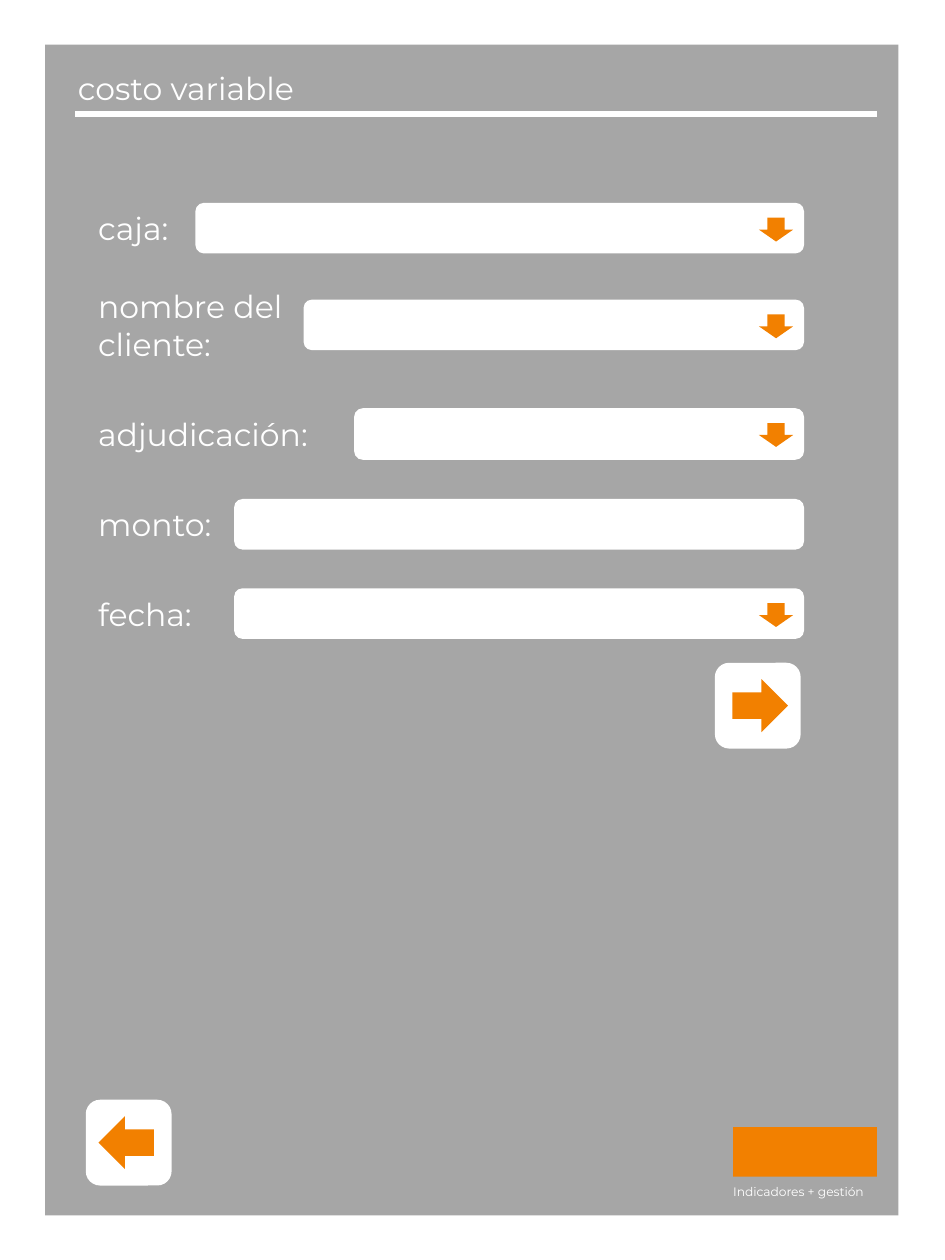
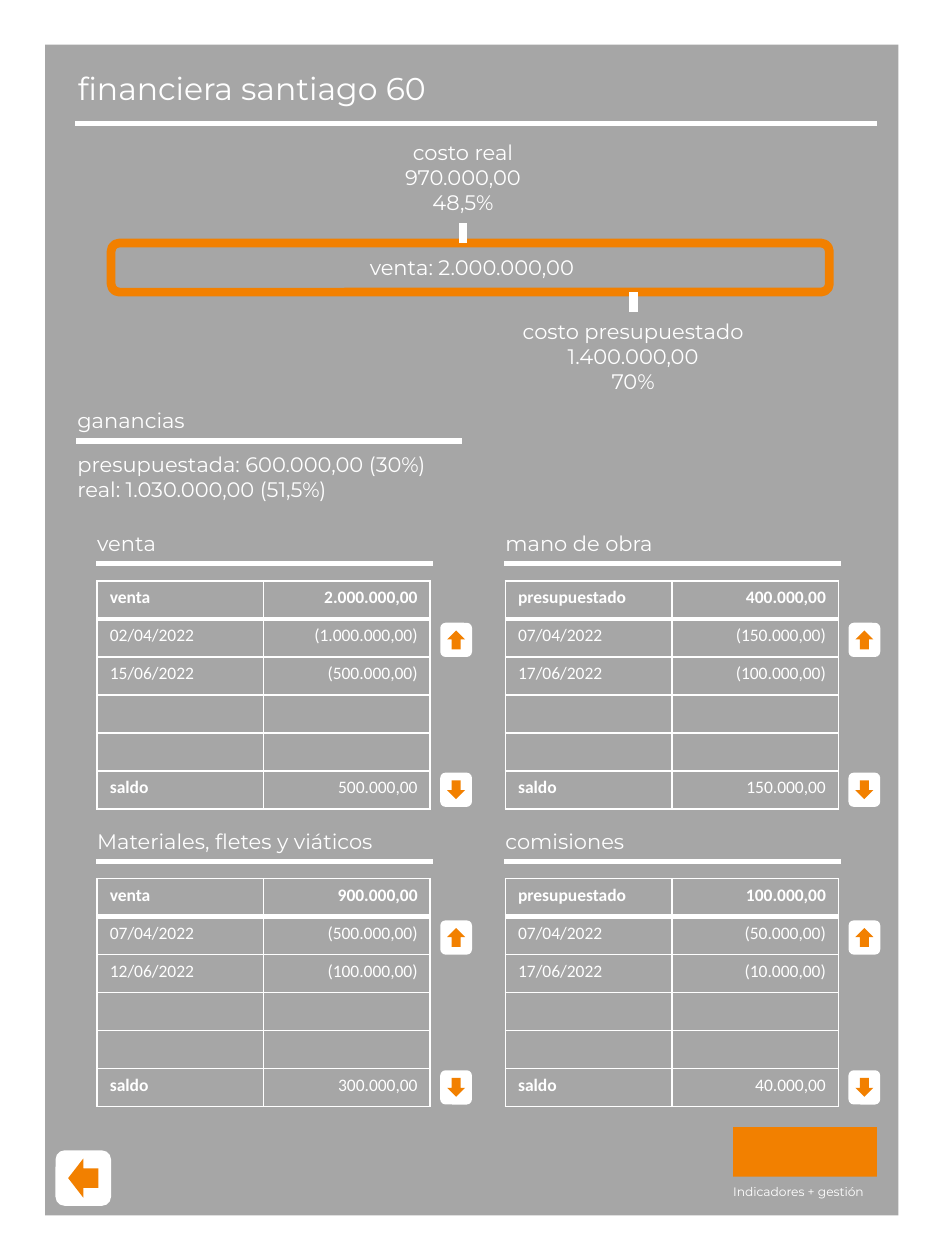
from lxml.etree import SubElement
from pptx import Presentation
from pptx.dml.color import RGBColor
from pptx.enum.shapes import MSO_CONNECTOR, MSO_SHAPE
from pptx.enum.text import MSO_ANCHOR, PP_ALIGN
from pptx.oxml.ns import qn
from pptx.util import Cm, Pt

# Shared look
WHITE, GRAY, ORANGE = "FFFFFF", "A6A6A6", "F28000"
PAGE = (19.05, 25.4)
PANEL = (0.91, 0.9, 17.2, 23.6)
HEADING = {"name": "Montserrat", "size": Pt(18)}
BODY = {"name": "Montserrat", "size": Pt(12)}
TAGLINE = {"name": "Montserrat", "size": Pt(7)}
CELL = {"name": "Calibri", "size": Pt(10)}


def color(hex_value):
    return RGBColor.from_string(hex_value)


def apply_format(target, values):
    for attribute, value in values.items():
        setattr(target, attribute, value)


def add_block(slide, kind, box, fill=None, line=None, line_width=5, rotation=0):
    block = slide.shapes.add_shape(kind, *map(Cm, box))
    apply_format(block, {"rotation": rotation})
    block.shadow.inherit = False
    if fill:
        block.fill.solid()
        block.fill.fore_color.rgb = color(fill)
    else:
        block.fill.background()
    if line:
        block.line.color.rgb = color(line)
        block.line.width = Pt(line_width)
    else:
        block.line.fill.background()
    return block


def write(paragraph, words, font, align=PP_ALIGN.LEFT):
    paragraph.alignment = align
    run = paragraph.add_run()
    run.text = words
    apply_format(run.font, font)
    run.font.color.rgb = color(WHITE)


def add_words(slide, box, lines, font, align=PP_ALIGN.LEFT, anchor=MSO_ANCHOR.TOP):
    words = slide.shapes.add_textbox(*map(Cm, box))
    frame = words.text_frame
    apply_format(frame, {"word_wrap": True, "vertical_anchor": anchor})
    for index, line in enumerate(lines):
        paragraph = frame.add_paragraph() if index else frame.paragraphs[0]
        write(paragraph, line, font, align)
    return words


def add_rule(slide, start, end, width=3):
    rule = slide.shapes.add_connector(MSO_CONNECTOR.STRAIGHT, *map(Cm, start + end))
    rule.line.color.rgb = color(WHITE)
    rule.line.width = Pt(width)
    SubElement(rule._element.spPr, qn("a:effectLst"))
    return rule


def add_arrow_button(slide, box, arrow_size, rotation=0, shift=0):
    """White button with a left arrow in its middle, both turned by rotation."""
    left, top, width, height = box
    arrow_width, arrow_height = arrow_size
    add_block(slide, MSO_SHAPE.ROUNDED_RECTANGLE, box, WHITE, rotation=rotation)
    arrow_box = (left + (width - arrow_width) / 2 + shift,
                 top + (height - arrow_height) / 2, arrow_width, arrow_height)
    add_block(slide, MSO_SHAPE.LEFT_ARROW, arrow_box, ORANGE, rotation=rotation)


def add_page(presentation, title, rule_drop):
    """Gray panel with title, rule and brand corner."""
    slide = presentation.slides.add_slide(presentation.slide_layouts[6])
    left, top, width, height = PANEL
    right, bottom = left + width, top + height
    add_block(slide, MSO_SHAPE.RECTANGLE, PANEL, GRAY)
    # Brand corner
    add_block(slide, MSO_SHAPE.RECTANGLE, (right - 3.33, bottom - 1.78, 2.9, 1), ORANGE)
    add_words(slide, (right - 3.58, bottom - 0.75, 3.81, 0.56),
              ["Indicadores + gestión"], TAGLINE)
    # Title
    add_words(slide, (left + 0.41, top + 0.37, 14.88, 1.02), [title], HEADING)
    rule_top = top + rule_drop
    add_rule(slide, (left + 0.61, rule_top), (right - 0.43, rule_top))
    return slide


def add_field(slide, box, label, indent, has_arrow):
    """Label at the left, white entry box from the indent to the right edge."""
    left, top, width, height = box
    add_block(slide, MSO_SHAPE.ROUNDED_RECTANGLE,
              (left + indent, top, width - indent, height), WHITE)
    add_words(slide, (left, top, indent, height), [label], HEADING,
              anchor=MSO_ANCHOR.MIDDLE)
    if has_arrow:
        add_block(slide, MSO_SHAPE.DOWN_ARROW,
                  (left + width - 0.91, top + 0.3, 0.69, 0.48), ORANGE)


def add_form(slide, box):
    left, top, width, _ = box
    fields = [
        # label, drop from top, indent, height, arrow
        ("caja:", 0, 2.21, 1.02, True),
        ("nombre del cliente:", 1.95, 4.39, 1.02, True),
        ("adjudicación:", 4.14, 5.41, 1.04, True),
        ("monto:", 5.97, 2.99, 1.02, False),
        ("fecha:", 7.77, 2.99, 1.02, True),
    ]
    for label, drop, indent, height, has_arrow in fields:
        add_field(slide, (left, top + drop, width, height), label, indent, has_arrow)
    # Next button
    add_arrow_button(slide, (left + width - 1.8, top + 9.27, 1.73, 1.73),
                     (1.12, 1.07), rotation=180, shift=0.05)


def add_sale_summary(slide, box):
    """Outlined sale bar, with the real cost above and the budget below."""
    left, top, width, height = box
    bottom = top + height
    tick, label_width = 0.4, 5.61
    add_block(slide, MSO_SHAPE.ROUNDED_RECTANGLE, box, line=ORANGE)
    # Sale
    add_words(slide, (left + 2.46, top + 0.1, 9.63, 0.8),
              ["venta: 2.000.000,00"], BODY, PP_ALIGN.CENTER)
    # Real cost
    real_left = left + 4.29
    real_middle = real_left + label_width / 2
    add_words(slide, (real_left, top - 2.21, label_width, 1.8),
              ["costo real", "970.000,00", "48,5%"], BODY, PP_ALIGN.CENTER)
    add_rule(slide, (real_middle, top - tick), (real_middle, top), 5)
    # Budgeted cost
    budget_left = left + 7.72
    budget_middle = budget_left + label_width / 2
    budget = add_words(slide, (budget_left, bottom + tick, label_width, 2.57),
                       ["costo presupuestado", "1.400.000,00", "70%"],
                       BODY, PP_ALIGN.CENTER)
    budget_tick = add_rule(slide, (budget_middle, bottom),
                           (budget_middle, bottom + tick), 5)
    budget_tick.end_connect(budget, 0)


def add_section_title(slide, box, title):
    left, top, width, height = box
    add_words(slide, box, [title], BODY)
    add_rule(slide, (left + 0.23, top + height), (left + width, top + height))


def add_profit(slide, box):
    left, top, width, height = box
    add_section_title(slide, (left, top, width, 0.79), "ganancias")
    add_words(slide, (left, top + 0.87, width + 2, height - 0.87),
              ["presupuestada: 600.000,00 (30%)", "real: 1.030.000,00 (51,5%)"], BODY)


def set_borders(cell, widths):
    properties = cell._tc.get_or_add_tcPr()
    for index, (side, width) in enumerate(widths.items()):
        edge = properties.makeelement(qn(f"a:{side}"), {"w": str(Pt(width))})
        fill = SubElement(edge, qn("a:solidFill"))
        SubElement(fill, qn("a:srgbClr"), val=WHITE)
        properties.insert(index, edge)


def add_ledger(slide, box, title, entries):
    """Titled table of movements, with scroll buttons at its right."""
    left, top, width, height = box
    add_section_title(slide, (left, top, width, 0.79), title)
    # Movements, with two free rows before the balance
    rows = entries[:-1] + [("", "")] * 2 + entries[-1:]
    table = slide.shapes.add_table(
        len(rows), 2, Cm(left + 0.25), Cm(top + 1.14),
        Cm(width - 0.3), Cm(height - 1.14)).table
    apply_format(table, {"first_row": False, "horz_banding": False})
    for row_index, row in enumerate(rows):
        for column_index, value in enumerate(row):
            cell = table.cell(row_index, column_index)
            cell.fill.background()
            set_borders(cell, {"lnL": 1, "lnR": 1,
                               "lnT": 3 if row_index == 1 else 1,
                               "lnB": 3 if row_index == 0 else 1})
            paragraph = cell.text_frame.paragraphs[0]
            if value:
                bold = row_index == 0 or value == "saldo"
                align = PP_ALIGN.RIGHT if column_index else PP_ALIGN.LEFT
                write(paragraph, value, CELL | {"bold": bold}, align)
            else:
                paragraph._p.get_or_add_endParaRPr().set("sz", "1000")
    # Scroll buttons
    for drop, rotation in ((2.01, 90), (5.03, 270)):
        add_arrow_button(slide, (left + width + 0.13, top + drop, 0.69, 0.64),
                         (0.38, 0.36), rotation)


def add_ledgers(slide, box):
    left, top, width, height = box
    ledgers = [
        ("venta", [("venta", "2.000.000,00"), ("02/04/2022", "(1.000.000,00)"),
                   ("15/06/2022", "(500.000,00)"), ("saldo", "500.000,00")]),
        ("mano de obra", [("presupuestado", "400.000,00"),
                          ("07/04/2022", "(150.000,00)"),
                          ("17/06/2022", "(100.000,00)"), ("saldo", "150.000,00")]),
        ("Materiales, fletes y viáticos", [
            ("venta", "900.000,00"), ("07/04/2022", "(500.000,00)"),
            ("12/06/2022", "(100.000,00)"), ("saldo", "300.000,00")]),
        ("comisiones", [("presupuestado", "100.000,00"),
                        ("07/04/2022", "(50.000,00)"),
                        ("17/06/2022", "(10.000,00)"), ("saldo", "40.000,00")]),
    ]
    ledger_width, ledger_height = 7.01, 5.74
    for index, (title, entries) in enumerate(ledgers):
        row, column = divmod(index, 2)
        ledger_box = (left + column * (width - ledger_width),
                      top + row * (height - ledger_height),
                      ledger_width, ledger_height)
        add_ledger(slide, ledger_box, title, entries)


def build_variable_cost(presentation):
    slide = add_page(presentation, "costo variable", 1.4)
    add_arrow_button(slide, (1.73, 22.17, 1.73, 1.73), (1.12, 1.07), shift=-0.05)
    add_form(slide, (1.73, 4.09, 14.48, 11))


def build_plan_detail(presentation):
    slide = add_page(presentation, "financiera santiago 60", 1.59)
    add_arrow_button(slide, (1.12, 23.19, 1.12, 1.12), (0.61, 0.79))
    add_sale_summary(slide, (2.24, 4.9, 14.48, 0.99))
    add_profit(slide, (1.31, 8.1, 8.01, 2.2))
    add_ledgers(slide, (1.71, 10.57, 15.24, 11.74))


def main():
    presentation = Presentation()
    apply_format(presentation, {"slide_width": Cm(PAGE[0]), "slide_height": Cm(PAGE[1])})
    build_variable_cost(presentation)
    build_plan_detail(presentation)
    presentation.save("out.pptx")


if __name__ == "__main__":
    main()
